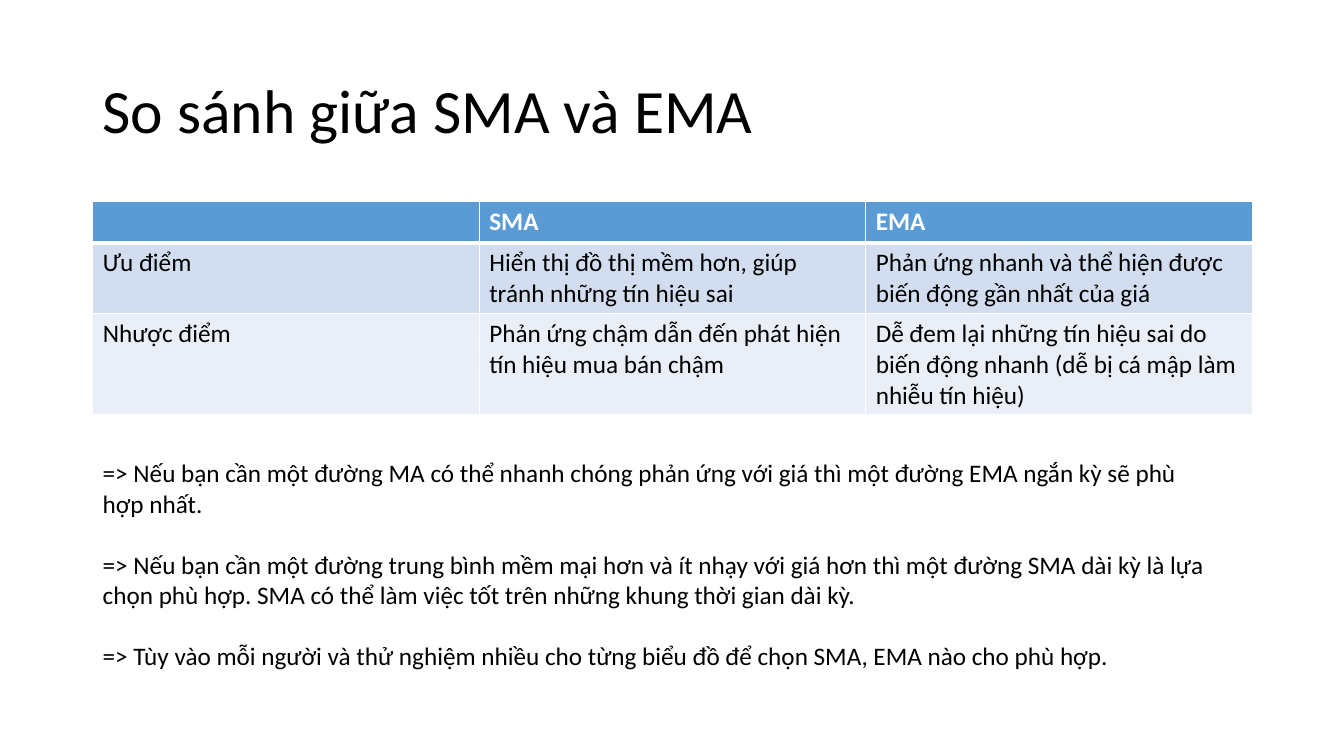
from dataclasses import dataclass

from lxml.etree import SubElement
from pptx import Presentation
from pptx.dml.color import RGBColor
from pptx.enum.text import MSO_ANCHOR as Anchor
from pptx.oxml.ns import qn
from pptx.util import Inches, Pt

FONT = "Calibri"
BLACK = RGBColor(0x00, 0x00, 0x00)
WHITE = RGBColor(0xFF, 0xFF, 0xFF)
HEADER_BLUE = RGBColor(0x5B, 0x9B, 0xD5)
BAND_BLUE = RGBColor(0xD2, 0xDE, 0xEF)
BAND_PALE = RGBColor(0xEA, 0xEF, 0xF7)

LEFT = 0.92
CONTENT_WIDTH = 11.5


@dataclass(frozen=True)
class TextBlock:
    top: float
    width: float
    height: float
    size: int
    paragraphs: tuple[str, ...]
    anchor: Anchor = Anchor.TOP
    line_spacing: float = 1.0
    gap: int = 0


@dataclass(frozen=True)
class ComparisonRow:
    texts: tuple[str, str, str]
    height: float
    fill: RGBColor
    color: RGBColor = BLACK
    bold: bool = False
    top_line: int = 1
    bottom_line: int = 1


TITLE = TextBlock(0.4, CONTENT_WIDTH, 1.45, 44, ("So sánh giữa SMA và EMA",),
                  anchor=Anchor.MIDDLE, line_spacing=0.9)

ADVICE = TextBlock(4.49, 11.18, 2.52, 18, (
    "=> Nếu bạn cần một đường MA có thể nhanh chóng phản ứng với giá "
    "thì một đường EMA ngắn kỳ sẽ phù hợp nhất.",
    "=> Nếu bạn cần một đường trung bình mềm mại hơn và ít nhạy với giá hơn "
    "thì một đường SMA dài kỳ là lựa chọn phù hợp. "
    "SMA có thể làm việc tốt trên những khung thời gian dài kỳ.",
    "=> Tùy vào mỗi người và thử nghiệm nhiều cho từng biểu đồ "
    "để chọn SMA, EMA nào cho phù hợp.",
), gap=22)

ROWS = (
    ComparisonRow(("", "SMA", "EMA"), 0.41, HEADER_BLUE, WHITE, bold=True, bottom_line=3),
    ComparisonRow(("Ưu điểm",
                   "Hiển thị đồ thị mềm hơn, giúp tránh những tín hiệu sai",
                   "Phản ứng nhanh và thể hiện được biến động gần nhất của giá"),
                  0.7, BAND_BLUE, top_line=3),
    ComparisonRow(("Nhược điểm",
                   "Phản ứng chậm dẫn đến phát hiện tín hiệu mua bán chậm",
                   "Dễ đem lại những tín hiệu sai do biến động nhanh "
                   "(dễ bị cá mập làm nhiễu tín hiệu)"),
                  1.0, BAND_PALE),
)


def style_font(font, size: int, color: RGBColor, bold: bool = False) -> None:
    font.name = FONT
    font.size = Pt(size)
    font.bold = bold
    font.color.rgb = color


def add_text(page, block: TextBlock) -> None:
    box = page.shapes.add_textbox(Inches(LEFT), Inches(block.top),
                                  Inches(block.width), Inches(block.height))
    frame = box.text_frame
    frame.word_wrap = True
    frame.vertical_anchor = block.anchor
    frame.text = "\n".join(block.paragraphs)
    for index, paragraph in enumerate(frame.paragraphs):
        paragraph.line_spacing = block.line_spacing
        paragraph.space_before = Pt(block.gap if index else 0)
        for span in paragraph.runs:
            style_font(span.font, block.size, BLACK)


def add_borders(cell, row: ComparisonRow) -> None:
    """Draw white cell borders; call before the fill, which must follow them in the XML."""
    properties = cell._tc.get_or_add_tcPr()
    widths = {"a:lnL": 1, "a:lnR": 1, "a:lnT": row.top_line, "a:lnB": row.bottom_line}
    for tag, width in widths.items():
        line = SubElement(properties, qn(tag), w=str(Pt(width)))
        fill = SubElement(line, qn("a:solidFill"))
        SubElement(fill, qn("a:srgbClr"), val=str(WHITE))


def add_comparison(page, rows: tuple[ComparisonRow, ...]) -> None:
    column_count = len(rows[0].texts)
    height = sum(row.height for row in rows)
    table = page.shapes.add_table(len(rows), column_count, Inches(LEFT), Inches(2),
                                  Inches(CONTENT_WIDTH), Inches(height)).table
    for column in table.columns:
        column.width = Inches(CONTENT_WIDTH / column_count)
    for row_index, row in enumerate(rows):
        table.rows[row_index].height = Inches(row.height)
        for column_index, text in enumerate(row.texts):
            cell = table.cell(row_index, column_index)
            add_borders(cell, row)
            cell.fill.solid()
            cell.fill.fore_color.rgb = row.fill
            cell.text_frame.text = text
            for span in cell.text_frame.paragraphs[0].runs:
                style_font(span.font, 18, row.color, row.bold)


def main() -> None:
    deck = Presentation()
    deck.slide_width = Inches(13.33)
    deck.slide_height = Inches(7.5)
    page = deck.slides.add_slide(deck.slide_layouts[6])
    add_text(page, TITLE)
    add_comparison(page, ROWS)
    add_text(page, ADVICE)
    deck.save("out.pptx")


if __name__ == "__main__":
    main()
